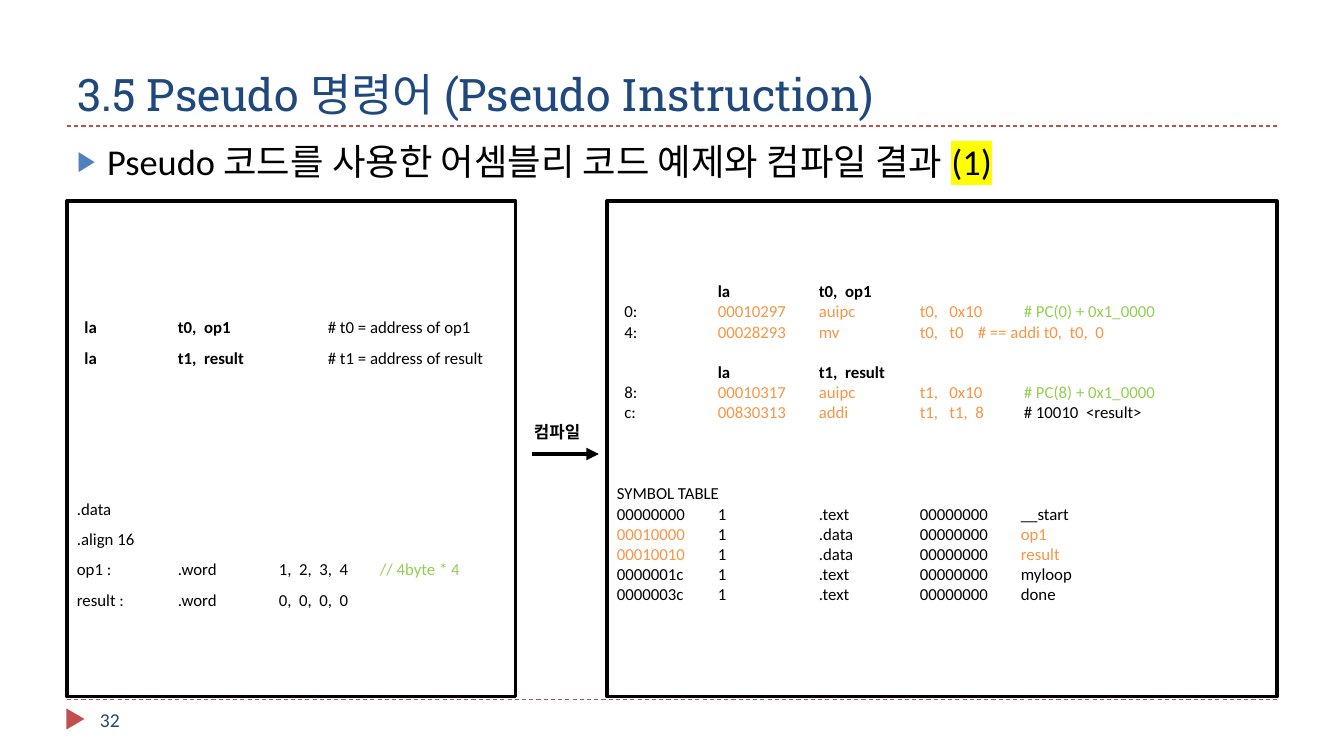
from lxml.etree import SubElement
from pptx import Presentation
from pptx.dml.color import RGBColor
from pptx.enum.dml import MSO_LINE_DASH_STYLE as Dash
from pptx.enum.shapes import MSO_CONNECTOR as Connector, MSO_SHAPE as Shape
from pptx.enum.text import MSO_ANCHOR as Anchor, MSO_AUTO_SIZE as AutoSize, PP_ALIGN as Align
from pptx.oxml import parse_xml
from pptx.oxml.ns import nsdecls, qn
from pptx.util import Emu, Pt

SLIDE_W, SLIDE_H = 1344, 756
SCALE = 12192000 / SLIDE_W

BLACK = RGBColor(0x00, 0x00, 0x00)
NAVY = RGBColor(0x1F, 0x49, 0x7D)
BLUE = RGBColor(0x4F, 0x81, 0xBD)
RED = RGBColor(0xC0, 0x50, 0x4D)
ORANGE = RGBColor(0xF7, 0x96, 0x46)
GREEN = RGBColor(0x92, 0xD0, 0x50)
YELLOW = RGBColor(0xFF, 0xFF, 0x00)

BODY_FONT, TITLE_FONT = "Calibri", "Roboto Slab"

# Tab stops in px from the text edge
COLUMN = 101
GRID = [COLUMN * n for n in range(1, 5)]
LOAD_TABS = [COLUMN, 251]
CODE_TABS = GRID[:3] + [407]
MOVE_TABS = GRID[:3] + [361]


def px(value):
    return Emu(round(value * SCALE))


def place(item, box):
    item.left, item.top, item.width, item.height = map(px, box)


def add_span(para, text, size, color=BLACK, bold=False, font=BODY_FONT):
    span = para.add_run()
    span.text = text
    span.font.size = Pt(size)
    span.font.bold = bold
    span.font.color.rgb = color
    span.font.name = font
    return span


def add_line(page, start, end, color, width):
    line = page.shapes.add_connector(Connector.STRAIGHT, *map(px, start + end))
    line.line.color.rgb = color
    line.line.width = Pt(width)
    SubElement(line._element.spPr, qn("a:effectLst"))
    return line


def add_text_box(page, box, wrap=True):
    text_box = page.shapes.add_textbox(*map(px, box))
    text_box.text_frame.word_wrap = wrap
    return text_box.text_frame


def set_tabs(para, stops):
    tabs = SubElement(para._p.get_or_add_pPr(), qn("a:tabLst"))
    for stop in stops:
        SubElement(tabs, qn("a:tab"), pos=str(px(stop)), algn="l")


def fill_title(page, box):
    title = page.shapes.title
    place(title, box)
    frame = title.text_frame
    frame.auto_size = AutoSize.NONE
    frame.vertical_anchor = Anchor.BOTTOM
    para = frame.paragraphs[0]
    para.alignment = Align.LEFT
    add_span(para, "3.5 Pseudo 명령어 (Pseudo Instruction)", 32, NAVY, font=TITLE_FONT)


def fill_body(page, box):
    body = page.placeholders[1]
    place(body, box)
    body.text_frame.auto_size = AutoSize.NONE
    para = body.text_frame.paragraphs[0]
    props = para._p.get_or_add_pPr()
    props.set("marL", str(px(30)))
    props.set("indent", str(px(-30)))
    for bullet in (f'<a:buClr {nsdecls("a")}><a:srgbClr val="{BLUE}"/></a:buClr>',
                   f'<a:buSzPct {nsdecls("a")} val="76000"/>',
                   f'<a:buChar {nsdecls("a")} char="▶"/>'):
        props.append(parse_xml(bullet))
    para.space_before = Pt(0)
    add_span(para, "Pseudo 코드를 사용한 어셈블리 코드 예제와 컴파일 결과 ", 26)
    marked = add_span(para, "(1)", 26)
    highlight = parse_xml(f'<a:highlight {nsdecls("a")}><a:srgbClr val="{YELLOW}"/></a:highlight>')
    marked._r.rPr.find(qn("a:solidFill")).addnext(highlight)


def add_rules_and_number(page, left, right, top, bottom):
    for y in (top, bottom):
        add_line(page, (left, y), (right, y), RED, 0.75).line.dash_style = Dash.DASH
    marker = page.shapes.add_shape(Shape.ISOSCELES_TRIANGLE, *map(px, (left - 2, bottom + 10, 21, 18)))
    marker.rotation = 90
    marker.shadow.inherit = False
    marker.fill.solid()
    marker.fill.fore_color.rgb = RED
    marker.line.fill.background()
    frame = add_text_box(page, (left + 23, bottom, 291, 40))
    frame.vertical_anchor = Anchor.MIDDLE
    add_span(frame.paragraphs[0], "32", 14, NAVY)


def add_code_panel(page, box, text_top, text_size, spacing, lines):
    """Each line is (tab stops, space before in pt, spans of text, colour, bold)."""
    panel = page.shapes.add_shape(Shape.RECTANGLE, *map(px, box))
    panel.shadow.inherit = False
    panel.fill.background()
    panel.line.color.rgb = BLACK
    panel.line.width = Pt(2.25)
    left, top = box[:2]
    frame = add_text_box(page, (left, top + text_top, *text_size))
    for number, (stops, gap, spans) in enumerate(lines):
        para = frame.add_paragraph() if number else frame.paragraphs[0]
        set_tabs(para, stops)
        para.line_spacing = spacing
        para.space_before = Pt(gap)
        for text, *look in spans:
            add_span(para, text, 12, *look)


def add_compile_arrow(page, left, top, width):
    arrow = add_line(page, (left, top), (left + width, top), BLACK, 3)
    SubElement(arrow.line._get_or_add_ln(), qn("a:tailEnd"), type="triangle")
    frame = add_text_box(page, (left - 8, top - 37, 89, 30))
    add_span(frame.paragraphs[0], "컴파일", 12, BLACK, True)


def load(gap, target, comment):
    return LOAD_TABS, gap, [("  la\t" + target, BLACK, True), ("\t" + comment,)]


def heading(gap, target):
    return GRID, gap, [("\tla\t" + target, BLACK, True)]


def machine(address, code, comment, color, stops=CODE_TABS):
    return stops, 0, [(f"  {address}:\t",), (code, ORANGE), ("\t" + comment, color)]


def symbol(address, section, name, color=BLACK):
    return GRID, 0, [(address, color), (f"\t1\t{section}\t00000000\t",), (name, color)]


SOURCE_LINES = [
    load(0, "t0,  op1", "# t0 = address of op1"),
    load(0, "t1,  result", "# t1 = address of result"),
    (GRID, 86.5, [(".data",)]),
    (GRID, 0, [(".align 16",)]),
    (GRID, 0, [("op1 :\t.word\t1,  2,  3,  4\t",), ("// 4byte * 4", GREEN)]),
    (GRID, 0, [("result :\t.word\t0,  0,  0,  0",)]),
]
COMPILED_LINES = [
    heading(0, "t0,  op1"),
    machine("0", "00010297\tauipc\tt0,   0x10", "# PC(0) + 0x1_0000", GREEN),
    machine("4", "00028293\tmv\tt0,   t0", "# == addi t0,  t0,  0", ORANGE, MOVE_TABS),
    heading(14.5, "t1,  result"),
    machine("8", "00010317\tauipc\tt1,   0x10", "# PC(8) + 0x1_0000", GREEN),
    machine("c", "00830313\taddi\tt1,   t1,  8", "# 10010  <result>", BLACK),
    (GRID, 43.5, [("SYMBOL TABLE",)]),
    symbol("00000000", ".text", "__start"),
    symbol("00010000", ".data", "op1", ORANGE),
    symbol("00010010", ".data", "result", ORANGE),
    symbol("0000001c", ".text", "myloop"),
    symbol("0000003c", ".text", "done"),
]


def main():
    deck = Presentation()
    deck.slide_width, deck.slide_height = px(SLIDE_W), px(SLIDE_H)
    page = deck.slides.add_slide(deck.slide_layouts[1])
    add_rules_and_number(page, 67, 1277, 126, 700)
    fill_title(page, (67, 17, 1210, 109))
    fill_body(page, (67, 134, 1210, 544))
    add_code_panel(page, (67, 201, 449, 496), 101, (521, 311), 1.5, SOURCE_LINES)
    add_code_panel(page, (607, 201, 670, 496), 75, (773, 356), 1.0, COMPILED_LINES)
    add_compile_arrow(page, 532, 454, 67)
    deck.save("out.pptx")


if __name__ == "__main__":
    main()
